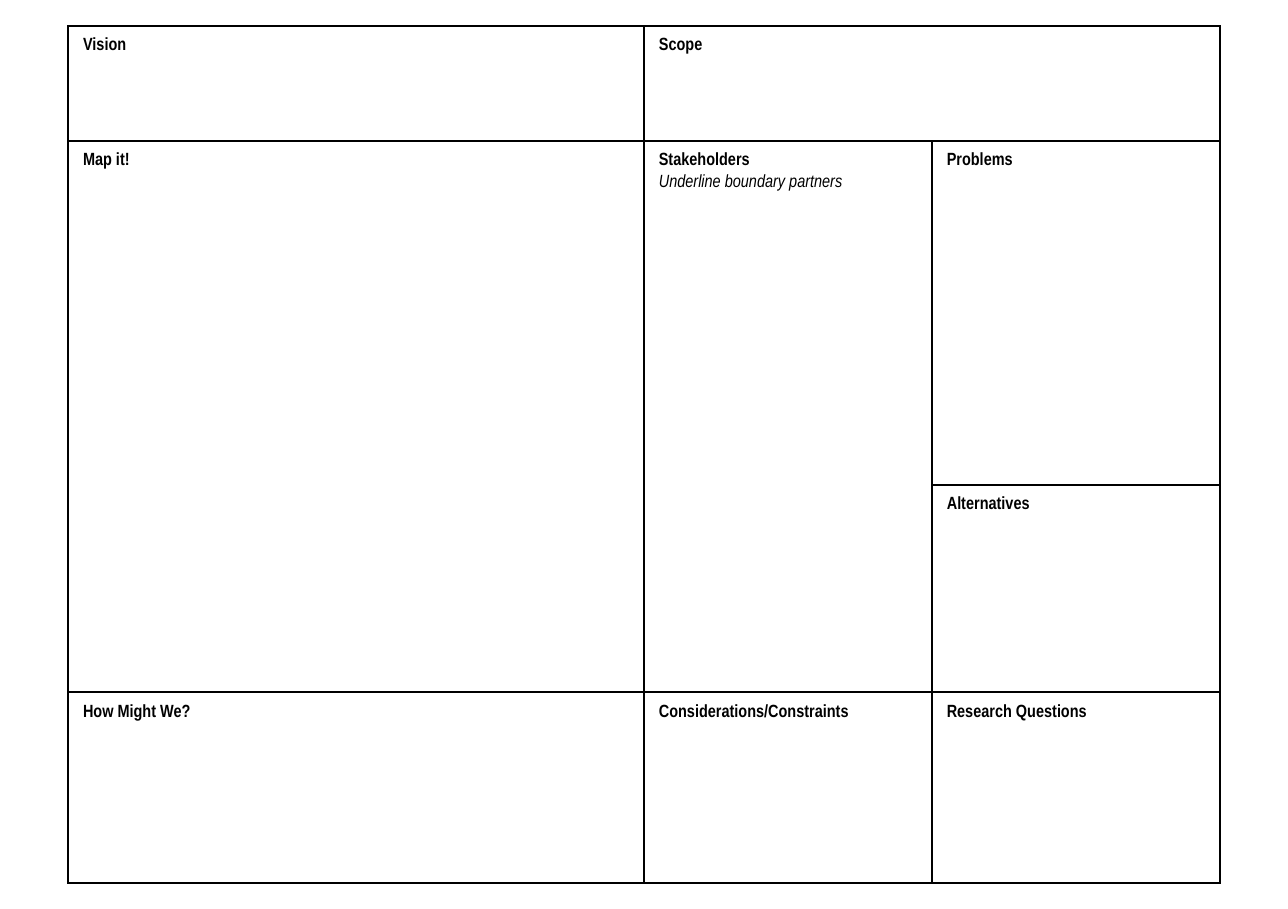
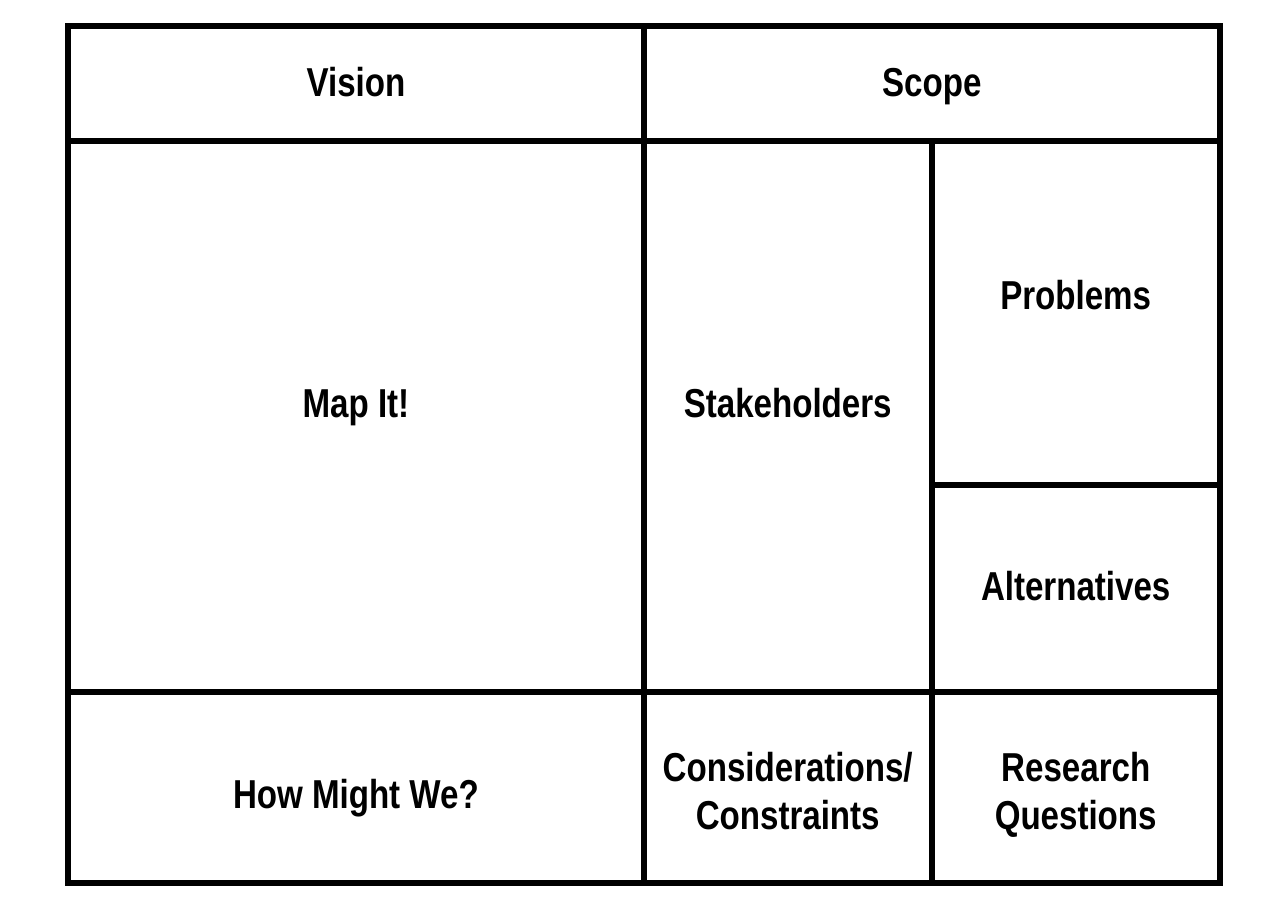
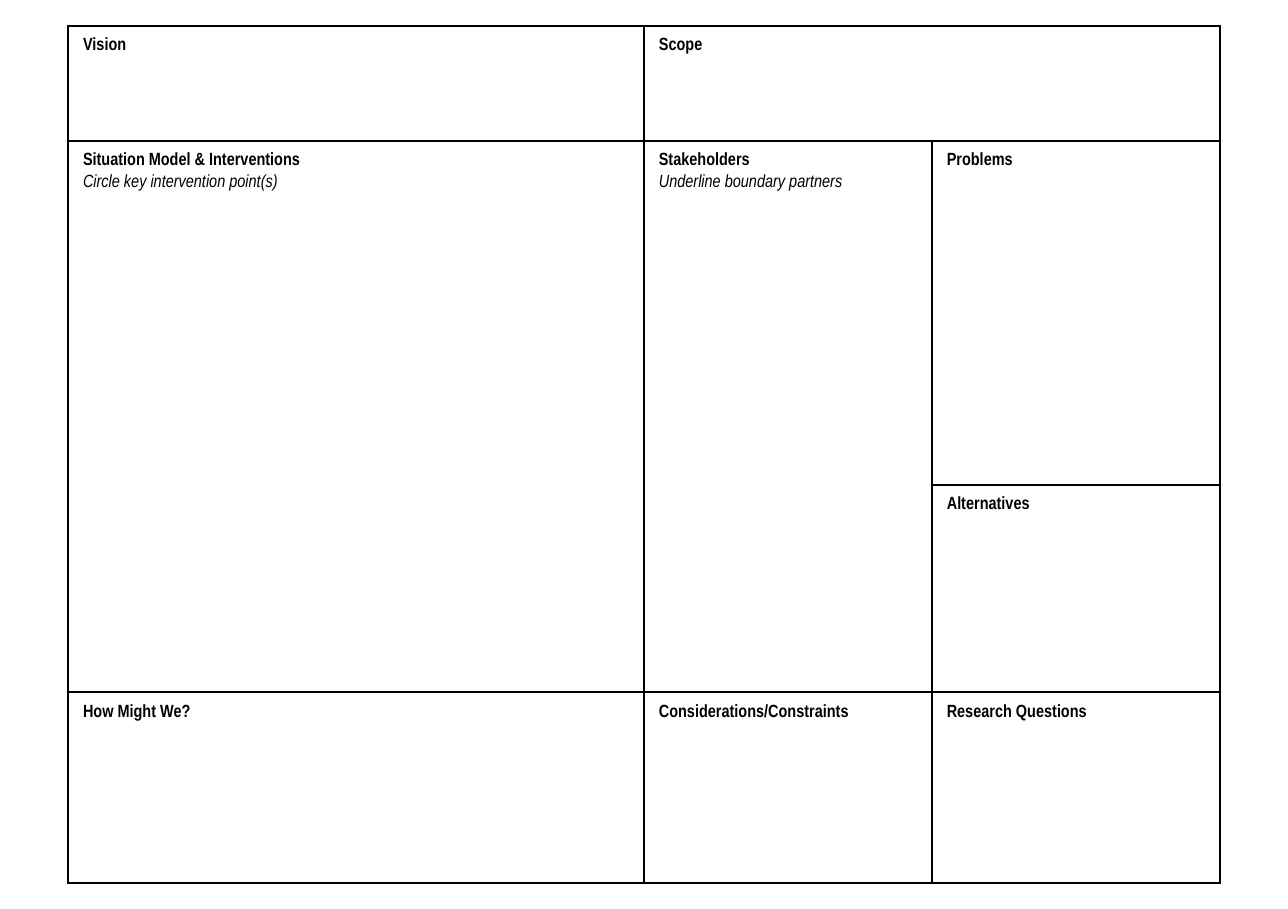
from lxml.etree import SubElement
from pptx import Presentation
from pptx.dml.color import RGBColor
from pptx.enum.shapes import MSO_SHAPE as Shape
from pptx.enum.text import MSO_AUTO_SIZE as AutoSize, PP_ALIGN as Align
from pptx.oxml.ns import qn
from pptx.util import Inches, Pt

INK = "000000"
FONT = "Arial Narrow"
COLUMN_EDGES = [0.45, 4.25, 6.15, 8.05]
ROW_EDGES = [0.17, 0.93, 3.2, 4.57, 5.83]

# Each cell: first column edge, first row edge, last column edge, last row edge
CELLS = {
    "vision": (0, 0, 1, 1),
    "scope": (1, 0, 3, 1),
    "map": (0, 1, 1, 3),
    "stakeholders": (1, 1, 2, 3),
    "problems": (2, 1, 3, 2),
    "alternatives": (2, 2, 3, 3),
    "how": (0, 3, 1, 4),
    "questions": (2, 3, 3, 4),
    "constraints": (1, 3, 2, 4),
}
FRAME = (0, 0, 3, 4)

# Each label: bold lines, italic lines
WORKSHEET = {
    "vision": (["Vision"], []),
    "scope": (["Scope"], []),
    "map": (["Map it!"], []),
    "stakeholders": (["Stakeholders"], ["Underline boundary partners"]),
    "problems": (["Problems"], []),
    "alternatives": (["Alternatives"], []),
    "how": (["How Might We?"], []),
    "questions": (["Research Questions"], []),
    "constraints": (["Considerations/Constraints"], []),
}
SITUATION = WORKSHEET | {
    "map": (["Situation Model & Interventions"], ["Circle key intervention point(s)"]),
}
OVERVIEW = WORKSHEET | {
    "map": (["Map It!"], []),
    "stakeholders": (["Stakeholders"], []),
    "constraints": (["Considerations/", "Constraints"], []),
}

# Widths of the corner labels; the others are as wide as their cell
CORNER_WIDTHS = {
    "vision": 1.01, "scope": 1.01, "problems": 1.01, "alternatives": 1.01,
    "how": 1.3, "questions": 1.3, "constraints": 1.56,
}
# Tops of the centred labels
CENTRED_TOPS = {
    "vision": 0.32, "scope": 0.32, "map": 2.44, "stakeholders": 2.44,
    "problems": 1.73, "alternatives": 3.65, "how": 5.02,
    "questions": 4.84, "constraints": 4.84,
}

CORNER = {"size": 8.4, "line": 1, "align": Align.LEFT, "widths": CORNER_WIDTHS,
          "tops": {}, "one_line": 0.24, "step": 0.14, "grouped": False}
CENTRED = {"size": 19.2, "line": 3, "align": Align.CENTER, "widths": {},
           "tops": CENTRED_TOPS, "one_line": 0.42, "step": 0.33, "grouped": True}

SLIDES = [(WORKSHEET, CORNER), (OVERVIEW, CENTRED), (SITUATION, CORNER)]


def color(hex_value):
    return RGBColor.from_string(hex_value)


def cell_area(cell):
    """Left, top, width and height of a cell in inches."""
    first_col, first_row, last_col, last_row = cell
    left, top = COLUMN_EDGES[first_col], ROW_EDGES[first_row]
    return left, top, COLUMN_EDGES[last_col] - left, ROW_EDGES[last_row] - top


def add_outline(shapes, cell, line_width):
    outline = shapes.add_shape(Shape.RECTANGLE, *map(Inches, cell_area(cell)))
    outline.shadow.inherit = False
    outline.fill.background()
    outline.line.color.rgb = color(INK)
    outline.line.width = Pt(line_width)
    SubElement(outline.line._get_or_add_ln(), qn("a:miter"), lim="800000")


def add_label(shapes, key, headings, hints, style):
    left, top, width, _ = cell_area(CELLS[key])
    top = style["tops"].get(key, top)
    width = style["widths"].get(key, width)
    lines = [(text, {"bold": True}) for text in headings]
    lines += [(text, {"italic": True}) for text in hints]
    rows = 2 if key == "questions" and style is CENTRED else len(lines)
    height = style["one_line"] + (rows - 1) * style["step"]

    frame = shapes.add_textbox(*map(Inches, (left, top, width, height))).text_frame
    frame.word_wrap = True
    frame.auto_size = AutoSize.SHAPE_TO_FIT_TEXT
    for index, (text, emphasis) in enumerate(lines):
        paragraph = frame.add_paragraph() if index else frame.paragraphs[0]
        paragraph.alignment = style["align"]
        run = paragraph.add_run()
        run.text = text
        run.font.color.rgb = color(INK)
        font_format = {"name": FONT, "size": Pt(style["size"])} | emphasis
        for attribute, value in font_format.items():
            setattr(run.font, attribute, value)


def add_canvas(slide, labels, style):
    shapes = slide.shapes
    if style["grouped"]:
        shapes = shapes.add_group_shape().shapes
    add_outline(shapes, FRAME, 1)
    for cell in CELLS.values():
        add_outline(shapes, cell, style["line"])
    for key, (headings, hints) in labels.items():
        add_label(shapes, key, headings, hints, style)


def main():
    deck = Presentation()
    deck.slide_width, deck.slide_height = Inches(8.5), Inches(6)
    for labels, style in SLIDES:
        add_canvas(deck.slides.add_slide(deck.slide_layouts[6]), labels, style)
    deck.save("out.pptx")


if __name__ == "__main__":
    main()
